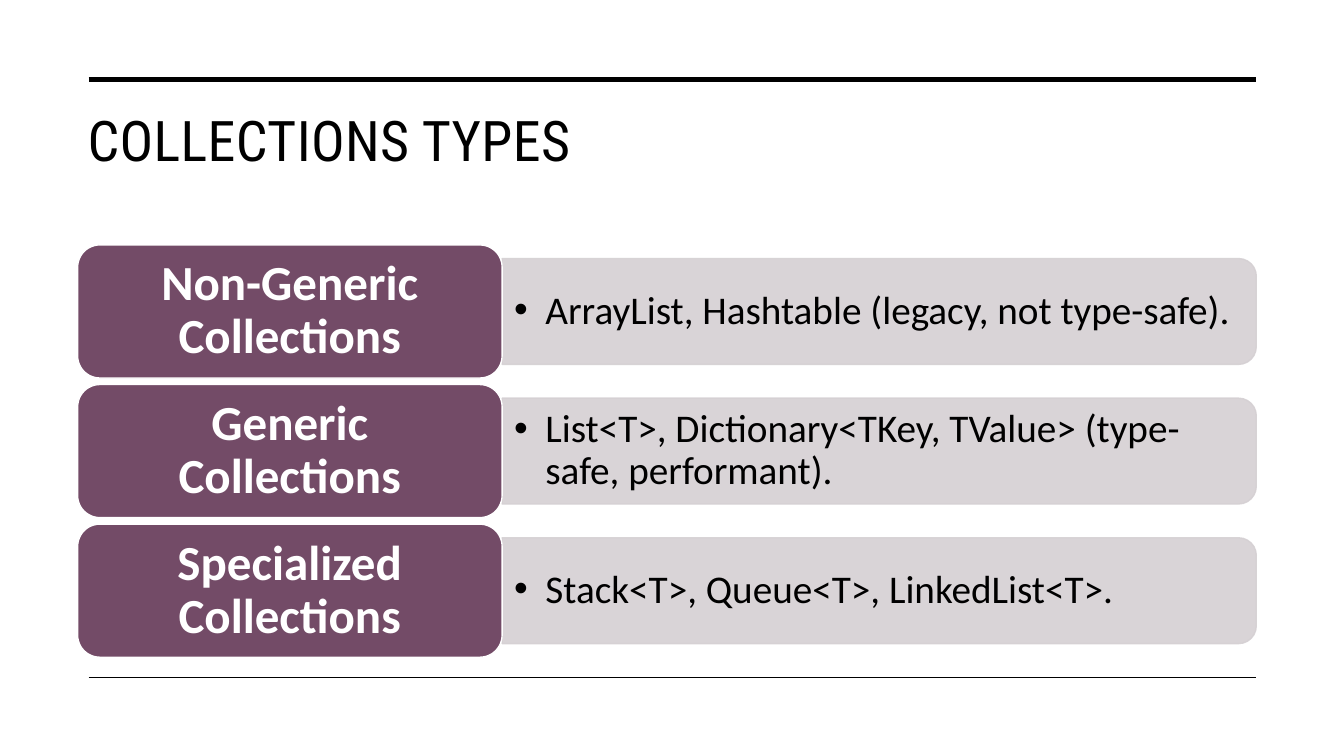
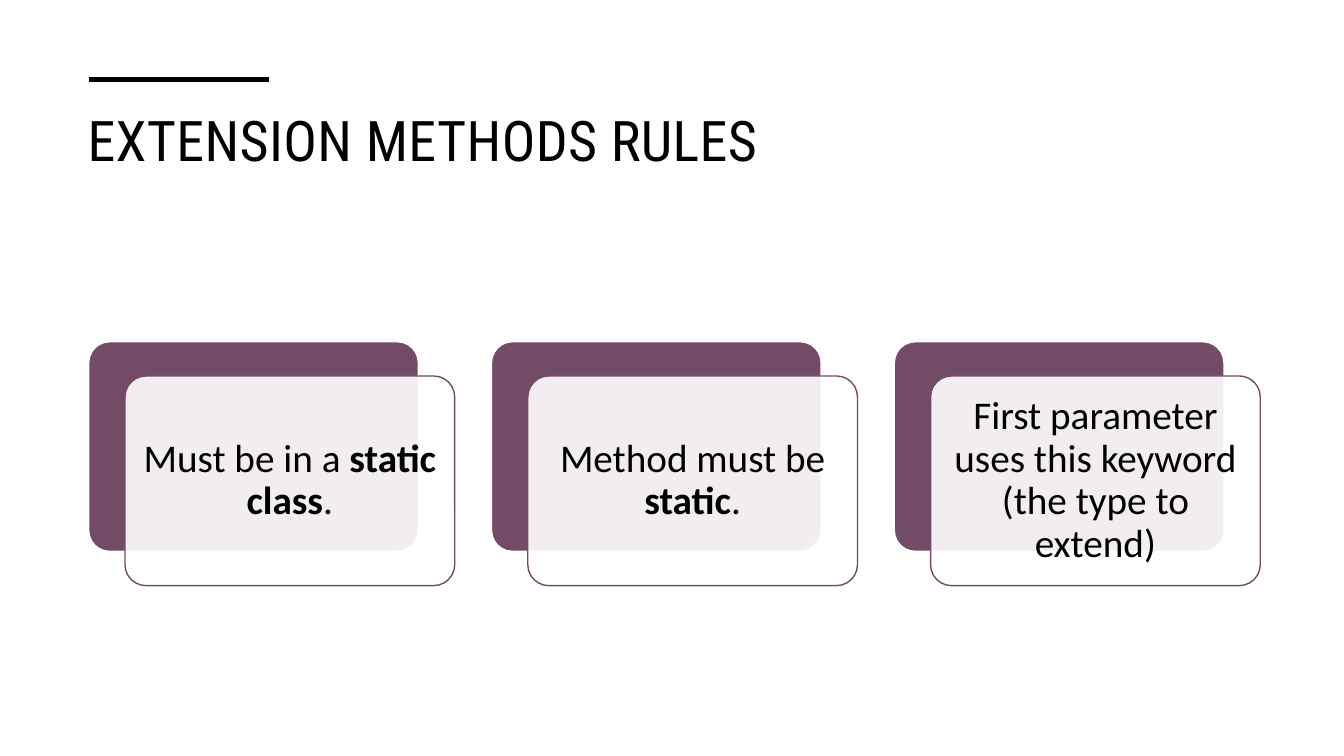
from dataclasses import dataclass
from typing import Any

from lxml import etree
from pptx import Presentation
from pptx.dml.color import RGBColor
from pptx.enum import shapes, text
from pptx.oxml import ns
from pptx.util import Inches, Pt


@dataclass(frozen=True)
class Theme:
    ink: str = "000000"
    white: str = "FFFFFF"
    plum: str = "734B67"
    mist: str = "D5D0D3"
    title_font: str = "Roboto Condensed"
    body_font: str = "Calibri"
    title_size: int = 40
    label_size: int = 35
    body_size: int = 28
    left: float = 0.88
    right: float = 12.46
    opacity: int = 90


@dataclass(frozen=True)
class Box:
    x: float
    y: float
    w: float
    h: float


@dataclass(frozen=True)
class Run:
    words: str
    bold: bool = False


@dataclass(frozen=True)
class Category:
    name: str
    members: str


T = Theme()
SHAPE = shapes.MSO_SHAPE

CATEGORIES = [
    Category("Non-Generic Collections", "ArrayList, Hashtable (legacy, not type-safe)."),
    Category("Generic Collections", "List<T>, Dictionary<TKey, TValue> (type-safe, performant)."),
    Category("Specialized Collections", "Stack<T>, Queue<T>, LinkedList<T>."),
]
RULES = [
    [Run("Must be in a "), Run("static class", True), Run(".")],
    [Run("Method must be "), Run("static", True), Run(".")],
    [Run("First parameter uses this keyword (the type to extend)")],
]


def spread(start: float, end: float, size: float, count: int) -> list[float]:
    step = (end - start - size) / (count - 1)
    return [start + i * step for i in range(count)]


def set_all(target: Any, values: dict[str, Any]) -> None:
    for name, value in values.items():
        setattr(target, name, value)


def write(s: Any, runs: list[Run], size: int, color: str, font: str = T.body_font,
          align: Any = text.PP_ALIGN.CENTER, anchor: Any = text.MSO_ANCHOR.MIDDLE,
          inset: tuple[float, float] = (0.11, 0.11), spacing: float = 0.9) -> Any:
    tf = s.text_frame
    dx, dy = map(Inches, inset)
    set_all(tf, {"word_wrap": True, "vertical_anchor": anchor, "margin_left": dx,
                 "margin_right": dx, "margin_top": dy, "margin_bottom": dy})
    p = tf.paragraphs[0]
    set_all(p, {"alignment": align, "line_spacing": spacing})
    for run in runs:
        r = p.add_run()
        r.text = run.words
        set_all(r.font, {"name": font, "size": Pt(size), "bold": run.bold})
        r.font.color.rgb = RGBColor.from_string(color)
    return p


def add_text(slide: Any, box: Box) -> Any:
    return slide.shapes.add_textbox(*map(Inches, (box.x, box.y, box.w, box.h)))


def add_panel(slide: Any, kind: Any, box: Box, fill: str, line: str,
              opacity: int = 100) -> Any:
    s = slide.shapes.add_shape(kind, *map(Inches, (box.x, box.y, box.w, box.h)))
    s.shadow.inherit = False
    s.fill.solid()
    s.fill.fore_color.rgb = RGBColor.from_string(fill)
    s.line.color.rgb = RGBColor.from_string(line)
    s.line.width = Pt(1)
    if opacity < 100:
        for c in s._element.spPr.iter(ns.qn("a:srgbClr")):
            if c.get("val") == fill:
                etree.SubElement(c, ns.qn("a:alpha")).set("val", str(opacity * 1000))
    return s


def add_rule(slide: Any, right: float, y: float, width: float) -> None:
    s = slide.shapes.add_connector(shapes.MSO_CONNECTOR.STRAIGHT, Inches(T.left), Inches(y),
                                   Inches(right), Inches(y))
    s.line.color.rgb = RGBColor.from_string(T.ink)
    s.line.width = Pt(width)
    etree.SubElement(s._element.spPr, ns.qn("a:effectLst"))


def add_slide(prs: Any, title: str, rule_right: float) -> Any:
    slide = prs.slides.add_slide(prs.slide_layouts[6])
    add_rule(slide, rule_right, 0.79, 3.5)
    p = write(add_text(slide, Box(0.77, 1, 11.69, 1.15)), [Run(title)], T.title_size, T.ink,
              T.title_font, text.PP_ALIGN.LEFT, text.MSO_ANCHOR.TOP, (0.1, 0.05), 1.0)
    p.runs[0]._r.get_or_add_rPr().set("spc", "30")
    return slide


def add_bullet(p: Any, indent: float) -> None:
    pPr = p._p.get_or_add_pPr()
    pPr.set("marL", str(Inches(indent)))
    pPr.set("indent", str(-Inches(indent)))
    etree.SubElement(pPr, ns.qn("a:buFont")).set("typeface", "Arial")
    etree.SubElement(pPr, ns.qn("a:buChar")).set("char", "•")


def add_category(slide: Any, category: Category, y: float, label_h: float) -> None:
    label = Box(0.77, y, 4.21, label_h)
    bar_x, bar_w, bar_h = label.x + label.w, 7.48, 1.05
    middle = y + label_h / 2
    upright = Box(bar_x + (bar_w - bar_h) / 2, middle - bar_w / 2, bar_h, bar_w)
    s = add_panel(slide, SHAPE.ROUND_2_SAME_RECTANGLE, upright, T.mist, T.mist, T.opacity)
    s.rotation = 90
    members = add_text(slide, Box(bar_x, middle - 0.475, 7.43, 0.95))
    p = write(members, [Run(category.members)], T.body_size, T.ink,
              align=text.PP_ALIGN.LEFT, inset=(0.12, 0.06))
    add_bullet(p, 0.31)
    s = add_panel(slide, SHAPE.ROUNDED_RECTANGLE, label, T.plum, T.white)
    write(s, [Run(category.name, True)], T.label_size, T.white, inset=(0.15, 0.07))


def add_card(slide: Any, runs: list[Run], x: float) -> None:
    back = Box(x, 3.39, 3.27, 2.08)
    front = Box(x + 0.36, back.y + 0.34, back.w, back.h)
    for box, fill, line, opacity in ((back, T.plum, T.white, 100),
                                     (front, T.white, T.plum, T.opacity)):
        s = add_panel(slide, SHAPE.ROUNDED_RECTANGLE, box, fill, line, opacity)
        s.adjustments[0] = 0.1
    write(s, runs, T.body_size, T.ink)


def build_collections(prs: Any) -> None:
    slide = add_slide(prs, "COLLECTIONS TYPES", T.right)
    add_rule(slide, T.right, 6.72, 1)
    label_h = 1.32
    for category, y in zip(CATEGORIES, spread(2.43, 6.52, label_h, len(CATEGORIES))):
        add_category(slide, category, y, label_h)


def build_rules(prs: Any) -> None:
    slide = add_slide(prs, "EXTENSION METHODS RULES", 2.67)
    for runs, x in zip(RULES, spread(T.left, 12.5, 3.63, len(RULES))):
        add_card(slide, runs, x)


def main() -> None:
    prs = Presentation()
    prs.slide_width, prs.slide_height = Inches(13.33), Inches(7.5)
    build_collections(prs)
    build_rules(prs)
    prs.save("out.pptx")


if __name__ == "__main__":
    main()
